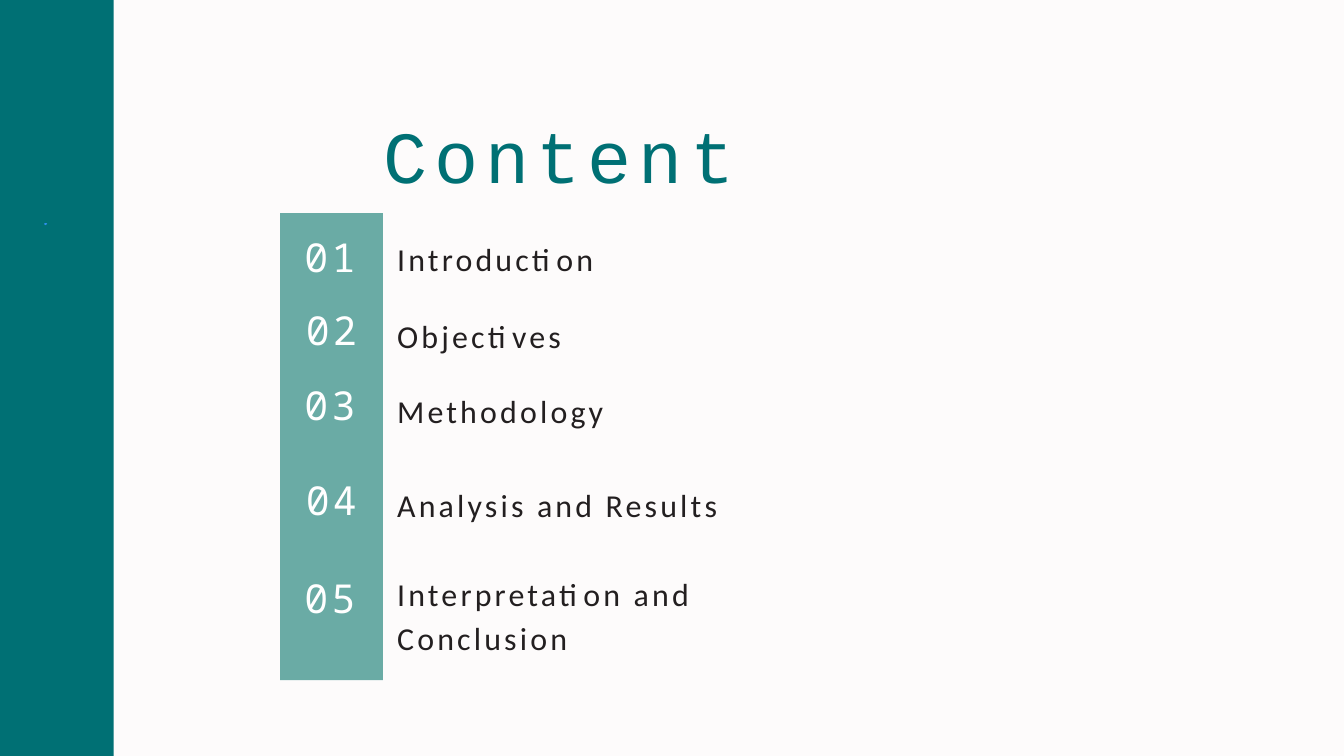
from dataclasses import dataclass

from pptx import Presentation
from pptx.dml.color import RGBColor
from pptx.enum.shapes import MSO_SHAPE
from pptx.enum.text import MSO_AUTO_SIZE, PP_ALIGN
from pptx.util import Emu, Pt

EMU_PER_PX = 9144
TEAL = "007074"
SAGE = "6AABA5"
BLUE = "2D90EB"
PAPER = "FDFBFB"
FRAME_FORMAT = {
    "margin_left": 0, "margin_top": 0, "margin_right": 0, "margin_bottom": 0,
    "word_wrap": True, "auto_size": MSO_AUTO_SIZE.SHAPE_TO_FIT_TEXT,
}


@dataclass(frozen=True)
class Box:
    left: int
    top: int
    width: int
    height: int


@dataclass(frozen=True)
class TextStyle:
    font: str
    size: float
    color: str
    line_height: float
    tracking: int
    alignment: PP_ALIGN = PP_ALIGN.LEFT


@dataclass(frozen=True)
class Entry:
    text: str
    number_left: int
    number_top: int
    label: Box


TITLE_STYLE = TextStyle("Courier New", 78.7, TEAL, 108.6, 770)
NUMBER_STYLE = TextStyle("Noto Sans Mono", 42.7, "FFFFFF", 51.3, 350, PP_ALIGN.CENTER)
LABEL_STYLE = TextStyle("Calibri", 34.2, "231F20", 47.2, 340)

ENTRIES = (
    Entry("Introduction", 440, 346, Box(591, 348, 633, 63)),
    Entry("Objectives", 442, 455, Box(591, 463, 665, 63)),
    Entry("Methodology", 440, 566, Box(591, 574, 633, 63)),
    Entry("Analysis and Results", 442, 707, Box(591, 714, 665, 63)),
    Entry("Interpretation and Conclusion", 440, 853, Box(591, 847, 665, 129)),
)


def px(value: int) -> Emu:
    return Emu(value * EMU_PER_PX)


def rgb(color: str) -> RGBColor:
    return RGBColor.from_string(color)


def place(box: Box) -> tuple[Emu, Emu, Emu, Emu]:
    return px(box.left), px(box.top), px(box.width), px(box.height)


def paint(shape, color: str) -> None:
    shape.shadow.inherit = False
    shape.fill.solid()
    shape.fill.fore_color.rgb = rgb(color)
    shape.line.fill.background()


def add_band(slide, box: Box, color: str) -> None:
    paint(slide.shapes.add_shape(MSO_SHAPE.RECTANGLE, *place(box)), color)


def add_text(slide, text: str, box: Box, style: TextStyle) -> None:
    frame = slide.shapes.add_textbox(*place(box)).text_frame
    for name, value in FRAME_FORMAT.items():
        setattr(frame, name, value)
    paragraph = frame.paragraphs[0]
    paragraph.alignment = style.alignment
    paragraph.line_spacing = Pt(style.line_height)
    run = paragraph.add_run()
    run.text = text
    for name, value in {"name": style.font, "size": Pt(style.size)}.items():
        setattr(run.font, name, value)
    run.font.color.rgb = rgb(style.color)
    run.font._element.set("spc", str(style.tracking))


def add_speck(slide) -> None:
    builder = slide.shapes.build_freeform(70, 333, scale=EMU_PER_PX)
    builder.add_line_segments([(68, 335), (66, 334), (66, 332), (69, 332)])
    paint(builder.convert_to_shape(), BLUE)


def main() -> None:
    presentation = Presentation()
    presentation.slide_width = px(2000)
    presentation.slide_height = px(1125)
    slide = presentation.slides.add_slide(presentation.slide_layouts[6])
    slide.background.fill.solid()
    slide.background.fill.fore_color.rgb = rgb(PAPER)

    add_band(slide, Box(417, 317, 153, 695), SAGE)
    add_band(slide, Box(-169, -61, 338, 1236), TEAL)
    add_text(slide, "Content", Box(570, 144, 619, 157), TITLE_STYLE)
    for number, entry in enumerate(ENTRIES, start=1):
        number_box = Box(entry.number_left, entry.number_top, 102, 78)
        add_text(slide, f"{number:02}", number_box, NUMBER_STYLE)
        add_text(slide, entry.text, entry.label, LABEL_STYLE)
    add_speck(slide)

    presentation.save("out.pptx")


if __name__ == "__main__":
    main()
